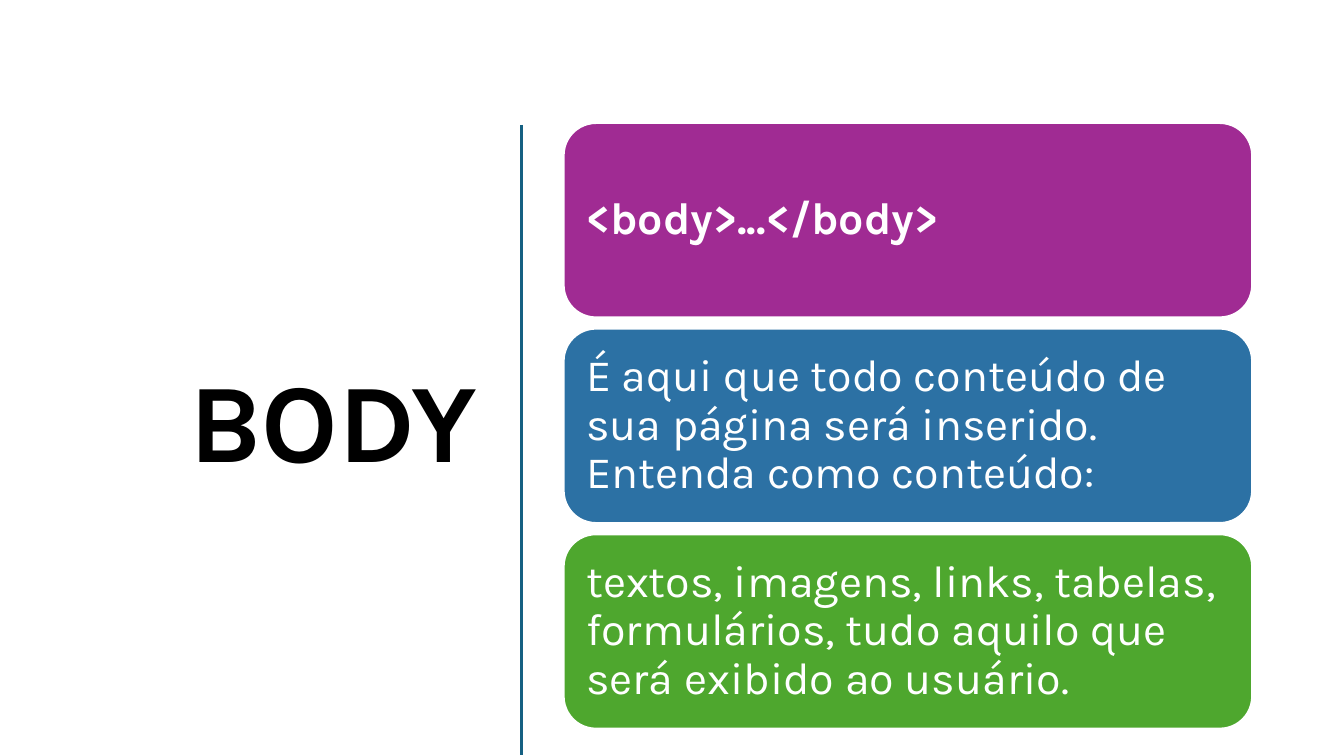
from pptx import Presentation
from pptx.dml.color import RGBColor
from pptx.enum.shapes import MSO_CONNECTOR, MSO_SHAPE
from pptx.enum.text import MSO_ANCHOR, PP_ALIGN
from pptx.oxml.ns import qn
from pptx.util import Inches, Pt
from lxml import etree

LEFT, RIGHT = PP_ALIGN.LEFT, PP_ALIGN.RIGHT
MIDDLE = MSO_ANCHOR.MIDDLE
ROUNDED = MSO_SHAPE.ROUNDED_RECTANGLE
STRAIGHT = MSO_CONNECTOR.STRAIGHT

FONT = "Karla"
CARD_TOP, CARD_STEP = 1.22, 2.04
CARDS = [
    ("<body>...</body>", "A02B93", True),
    ("É aqui que todo conteúdo de sua página será inserido. "
     "Entenda como conteúdo:", "2C71A4", False),
    ("textos, imagens, links, tabelas, formulários, tudo aquilo que "
     "será exibido ao usuário.", "4EA72E", False),
]


def color(value):
    """Return the colour for a hex string."""
    return RGBColor.from_string(value)


def write_text(shape, text, size, fill, bold=False, align=LEFT, margin=0.1):
    """Fill a shape with one vertically centred paragraph."""
    frame = shape.text_frame
    frame.word_wrap = True
    frame.vertical_anchor = MIDDLE
    frame.margin_left = frame.margin_right = Inches(margin)
    frame.margin_top = frame.margin_bottom = Inches(margin)
    paragraph = frame.paragraphs[0]
    paragraph.alignment = align
    paragraph.line_spacing = 0.9
    run = paragraph.add_run()
    run.text = text
    run.font.name = FONT
    run.font.size = Pt(size)
    run.font.bold = bold
    run.font.color.rgb = color(fill)


def add_title(slide, text):
    """Add the large right-aligned title."""
    box = slide.shapes.add_textbox(
        Inches(0.52), Inches(1.17), Inches(4.31), Inches(6.11))
    write_text(box, text, size=80, fill="000000", bold=True, align=RIGHT)


def add_divider(slide):
    """Add the vertical line between the title and the cards."""
    line = slide.shapes.add_connector(
        STRAIGHT, Inches(5.17), Inches(1.24), Inches(5.17), Inches(7.49))
    line.line.color.rgb = color("156082")
    line.line.width = Pt(2)
    etree.SubElement(line._element.spPr, qn("a:effectLst"))


def add_card(slide, top, text, fill, bold):
    """Add one rounded card with its text."""
    card = slide.shapes.add_shape(
        ROUNDED, Inches(5.59), Inches(top), Inches(6.83), Inches(1.93))
    card.shadow.inherit = False
    card.fill.solid()
    card.fill.fore_color.rgb = color(fill)
    card.line.color.rgb = color("FFFFFF")
    card.line.width = Pt(1.5)
    write_text(card, text, size=32, fill="FFFFFF", bold=bold, margin=0.13)


def main():
    """Build and save the slide."""
    presentation = Presentation()
    presentation.slide_width = Inches(13.33)
    presentation.slide_height = Inches(7.5)
    slide = presentation.slides.add_slide(presentation.slide_layouts[6])
    add_title(slide, "BODY")
    add_divider(slide)
    for index, (text, fill, bold) in enumerate(CARDS):
        add_card(slide, CARD_TOP + index * CARD_STEP, text, fill, bold)
    presentation.save("out.pptx")


if __name__ == "__main__":
    main()
